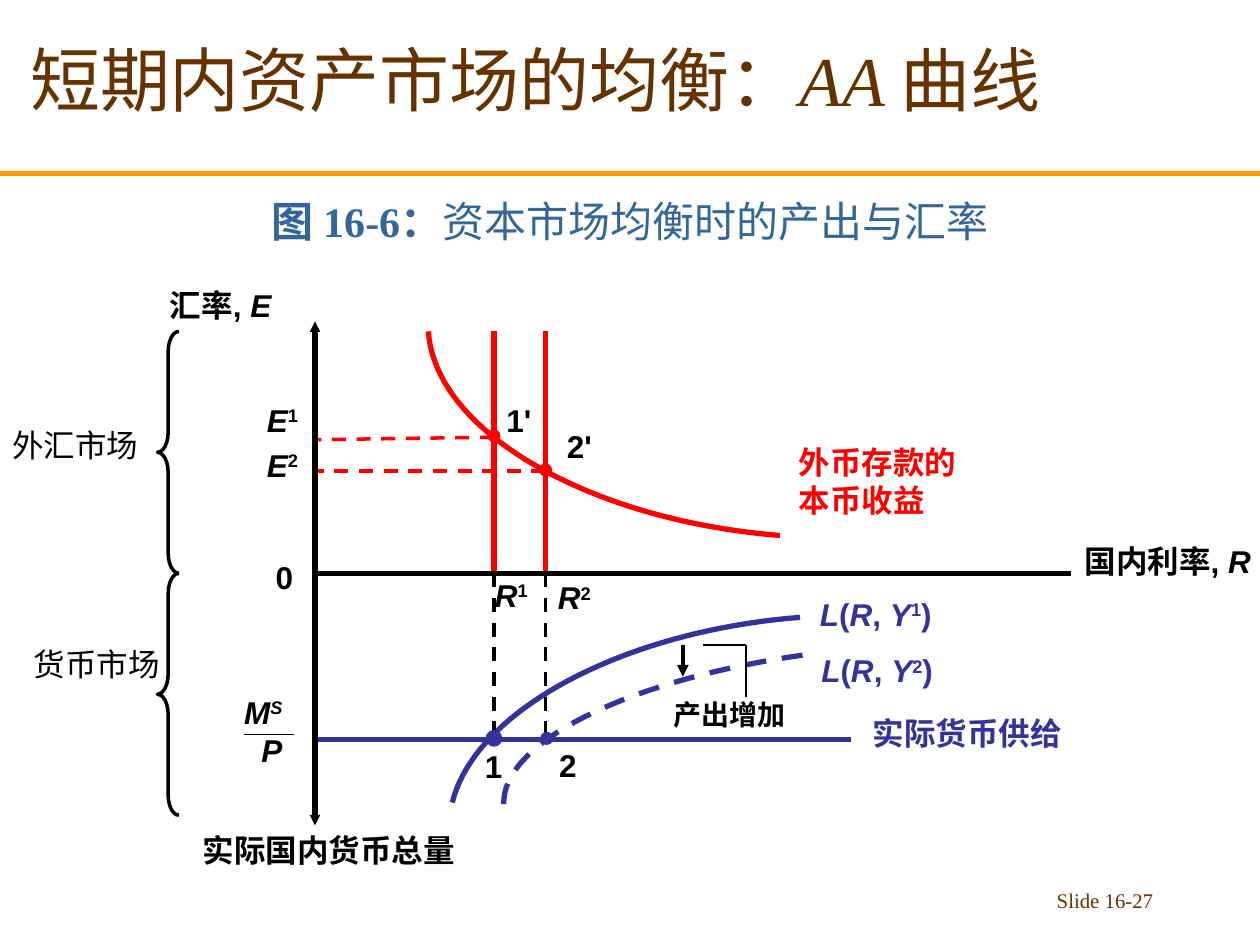
from dataclasses import dataclass
from lxml import etree
from pptx import Presentation
from pptx.dml.color import RGBColor
from pptx.enum.dml import MSO_LINE
from pptx.enum.shapes import MSO_CONNECTOR, MSO_SHAPE
from pptx.enum.text import MSO_ANCHOR, PP_ALIGN
from pptx.oxml.ns import qn
from pptx.util import Inches, Pt


@dataclass(frozen=True)
class Theme:
    brown: str = "663300"
    orange: str = "FF9900"
    steel: str = "336699"
    red: str = "FF0000"
    indigo: str = "333399"
    black: str = "000000"
    serif: str = "Times New Roman"
    sans: str = "Arial"
    title: float = 40
    caption: float = 24
    label: float = 18
    note: float = 16
    footer: float = 11.9


THEME = Theme()
RED, INDIGO, BLACK = THEME.red, THEME.indigo, THEME.black
WIDTH, HEIGHT = 10, 7.5
LEFT, CENTER, RIGHT = PP_ALIGN.LEFT, PP_ALIGN.CENTER, PP_ALIGN.RIGHT
TOP, MIDDLE, BOTTOM = MSO_ANCHOR.TOP, MSO_ANCHOR.MIDDLE, MSO_ANCHOR.BOTTOM

# Grid of the diagram: columns are interest rates, rows are levels
AXIS, RATE_1, RATE_2 = 2.5, 3.92, 4.33
CURVE_TOP, ZERO, SUPPLY = 2.63, 4.55, 5.87
RATE_LEVEL_1, RATE_LEVEL_2 = 3.47, 3.74
AXIS_TOP, AXIS_BOTTOM, AXIS_END = 2.55, 6.55, 8.5
ROW = 0.4
BRACE_LEFT, BRACE_WIDTH, BRACE_HEIGHT = 1.25, 0.17, 1.92

# A run is (text, style): i italic, b bold, s superscript
HEADINGS = [  # box, paragraph runs, size, colour, alignment, anchor
    ((0, 0, 8.5, 1.25), [("短期内资产市场的均衡：", ""), ("AA ", "i"), ("曲线", "")],
     THEME.title, THEME.brown, CENTER, MIDDLE),
    ((0, 1.33, WIDTH, 0.67), [("图 16-6：", "b"), ("资本市场均衡时的产出与汇率", "")],
     THEME.caption, THEME.steel, CENTER, BOTTOM),
    ((7.17, 7, 2.08, 0.33), [("Slide 16-27", "")],
     THEME.footer, THEME.brown, RIGHT, TOP),
]


def indexed(letter, index):
    return [(letter, "i"), (index, "s")]


def demand(index):
    return [("L", "i"), ("(", ""), ("R", "i"), (", ", ""),
            *indexed("Y", index), (")", "")]


LABELS = [  # left, top, width, paragraphs, colour
    (6.24, 3.47, 1.5, [[("外币存款的", "")], [("本币收益", "")]], RED),
    (2.02, 3.49, 0.6, [indexed("E", "2")], BLACK),
    (2.02, 3.13, 0.6, [indexed("E", "1")], BLACK),
    (4.4, 3.34, 0.4, [[("2'", "")]], BLACK),
    (RATE_1, 3.13, 0.4, [[("1'", "")]], BLACK),
    (RATE_2, 4.54, 0.75, [indexed("R", "2")], BLACK),
    (3.83, 4.52, 0.62, [indexed("R", "1")], BLACK),
    (6.83, 5.62, 2, [[("实际货币供给", "")]], INDIGO),
    (3.75, 5.88, 0.34, [[("1", "")]], BLACK),
    (4.34, SUPPLY, 0.34, [[("2", "")]], BLACK),
    (6.42, 5.12, 1.3, [demand("2")], INDIGO),
    (6.41, 4.67, 1.3, [demand("1")], INDIGO),
    (1.51, AXIS_BOTTOM, 4.07, [[("实际国内货币总量", "")]], BLACK),
    (8.51, 4.25, 1.83, [[("国内利率, ", ""), ("R", "i")]], BLACK),
    (1.25, 2.22, 2.58, [[("汇率, ", ""), ("E", "i")]], BLACK),
    (2.09, 4.38, 0.34, [[("0", "")]], BLACK),
]
MARKETS = [("外汇市场", 0, 3.33), ("货币市场", 0.17, 5.07)]  # name, left, top
REAL_MONEY = [[("M", "i"), ("S", "is")], [("P", "i")]]

LINES = [  # from, to, colour, width, options
    ((0, 1.38), (WIDTH, 1.38), THEME.orange, 3, ""),
    ((RATE_2, RATE_LEVEL_2), (AXIS, RATE_LEVEL_2), RED, 2, "dash"),
    ((RATE_1, RATE_LEVEL_1), (AXIS, 3.49), RED, 2, "dash"),
    ((RATE_2, CURVE_TOP), (RATE_2, ZERO), RED, 3, ""),
    ((RATE_1, CURVE_TOP), (RATE_1, ZERO), RED, 3, ""),
    ((1.94, 5.83), (2.33, 5.83), BLACK, 0.75, ""),
    ((AXIS, SUPPLY), (6.75, SUPPLY), INDIGO, 3, ""),
    ((RATE_1, ZERO), (RATE_1, SUPPLY), BLACK, 2, "dash"),
    ((RATE_2, ZERO), (RATE_2, SUPPLY), BLACK, 2, "dash"),
    ((AXIS, AXIS_TOP), (AXIS, AXIS_BOTTOM), BLACK, 3, "head tail small"),
    ((AXIS, ZERO), (AXIS_END, ZERO), BLACK, 3, ""),
    ((5.42, 5.12), (5.42, 5.37), BLACK, 2.25, "tail"),
    ((5.92, 5.53), (5.92, 5.12), BLACK, 0.75, ""),
    ((5.92, 5.12), (5.58, 5.12), BLACK, 0.75, ""),
]
CURVES = [  # Bezier control points, colour, dashed
    ([(6.19, 4.25), (4.67, 4.13), (3.45, 3.42), (3.4, 2.63)], RED, False),
    ([(6.37, 5.2), (4.97, 5.4), (3.96, 5.9), (4, 6.4)], INDIGO, True),
    ([(6.35, 4.9), (4.94, 5.01), (3.77, 5.64), (3.59, 6.37)], INDIGO, False),
]
DOT = 0.09
DOTS = [  # centre, colour, outline width
    ((RATE_2, 3.73), RED, 1), ((RATE_1, 3.46), RED, 1),
    ((RATE_1, 5.86), INDIGO, 3), ((4.34, 5.86), INDIGO, 1),
]


def style_line(line, color, width, dashed=False):
    line.color.rgb = RGBColor.from_string(color)
    line.width = Pt(width)
    if dashed:
        line.dash_style = MSO_LINE.DASH


def add_text(slide, box, paragraphs, size, color, font=THEME.sans, bold=None,
             align=LEFT, anchor=TOP):
    frame = slide.shapes.add_textbox(*map(Inches, box)).text_frame
    frame.word_wrap = True
    frame.vertical_anchor = anchor
    for index, runs in enumerate(paragraphs):
        paragraph = frame.add_paragraph() if index else frame.paragraphs[0]
        paragraph.alignment = align
        paragraph.font.size, paragraph.font.name = Pt(size), font
        paragraph.font.color.rgb = RGBColor.from_string(color)
        paragraph.font.bold = bold
        for text, style in runs:
            run = paragraph.add_run()
            run.text = text
            if "i" in style:
                run.font.italic = True
            if "b" in style:
                run.font.bold = True
            if "s" in style:
                run.font._element.set("baseline", "30000")


def add_line(slide, start, end, color, width, options):
    connector = slide.shapes.add_connector(
        MSO_CONNECTOR.STRAIGHT, *map(Inches, (*start, *end)))
    style_line(connector.line, color, width, "dash" in options)
    size = "sm" if "small" in options else "med"
    for end_name in ("head", "tail"):
        if end_name in options:
            etree.SubElement(connector.line._get_or_add_ln(), qn(f"a:{end_name}End"),
                             type="triangle", w=size, len=size)
    etree.SubElement(connector._element.spPr, qn("a:effectLst"))


def bezier_point(points, t):
    """Return the point at share t of a cubic curve, in slide units."""
    weights = ((1 - t) ** 3, 3 * t * (1 - t) ** 2, 3 * t * t * (1 - t), t ** 3)
    return tuple(Inches(sum(w * p[axis] for w, p in zip(weights, points)))
                 for axis in (0, 1))


def add_curve(slide, points, color, dashed, steps=40):
    start, *rest = [bezier_point(points, n / steps) for n in range(steps + 1)]
    builder = slide.shapes.build_freeform(*start)
    builder.add_line_segments(rest, close=False)
    shape = builder.convert_to_shape()
    shape.shadow.inherit = False
    shape.fill.background()
    style_line(shape.line, color, 3, dashed)


def add_dot(slide, center, color, width):
    corner = [value - DOT / 2 for value in center]
    shape = slide.shapes.add_shape(MSO_SHAPE.OVAL, *map(Inches, (*corner, DOT, DOT)))
    shape.shadow.inherit = False
    shape.fill.solid()
    shape.fill.fore_color.rgb = RGBColor.from_string(color)
    style_line(shape.line, color, width)


def add_market(slide, row, name, left, top):
    """Add a brace over one market and its name."""
    box = (BRACE_LEFT, CURVE_TOP + row * BRACE_HEIGHT, BRACE_WIDTH, BRACE_HEIGHT)
    shape = slide.shapes.add_shape(MSO_SHAPE.LEFT_BRACE, *map(Inches, box))
    shape.adjustments[0] = 0.94
    shape.shadow.inherit = False
    shape.fill.background()
    style_line(shape.line, BLACK, 2)
    add_text(slide, (left, top, 1.22, ROW), [[(name, "")]], THEME.label, BLACK)


def main():
    presentation = Presentation()
    presentation.slide_width, presentation.slide_height = Inches(WIDTH), Inches(HEIGHT)
    slide = presentation.slides.add_slide(presentation.slide_layouts[6])
    for curve in CURVES:
        add_curve(slide, *curve)
    for line in LINES:
        add_line(slide, *line)
    for dot in DOTS:
        add_dot(slide, *dot)
    for row, market in enumerate(MARKETS):
        add_market(slide, row, *market)
    for box, runs, size, color, align, anchor in HEADINGS:
        add_text(slide, box, [runs], size, color, THEME.serif, None, align, anchor)
    for left, top, width, paragraphs, color in LABELS:
        box = (left, top, width, 0.1 + 0.3 * len(paragraphs))
        add_text(slide, box, paragraphs, THEME.label, color, bold=True)
    add_text(slide, (1.74, 5.45, 0.6, 0.7), REAL_MONEY, THEME.label, BLACK,
             bold=True, align=RIGHT)
    add_text(slide, (5.25, 5.49, 1.1, 0.37), [[("产出增加", "")]], THEME.note, BLACK,
             bold=True)
    presentation.save("out.pptx")


if __name__ == "__main__":
    main()
